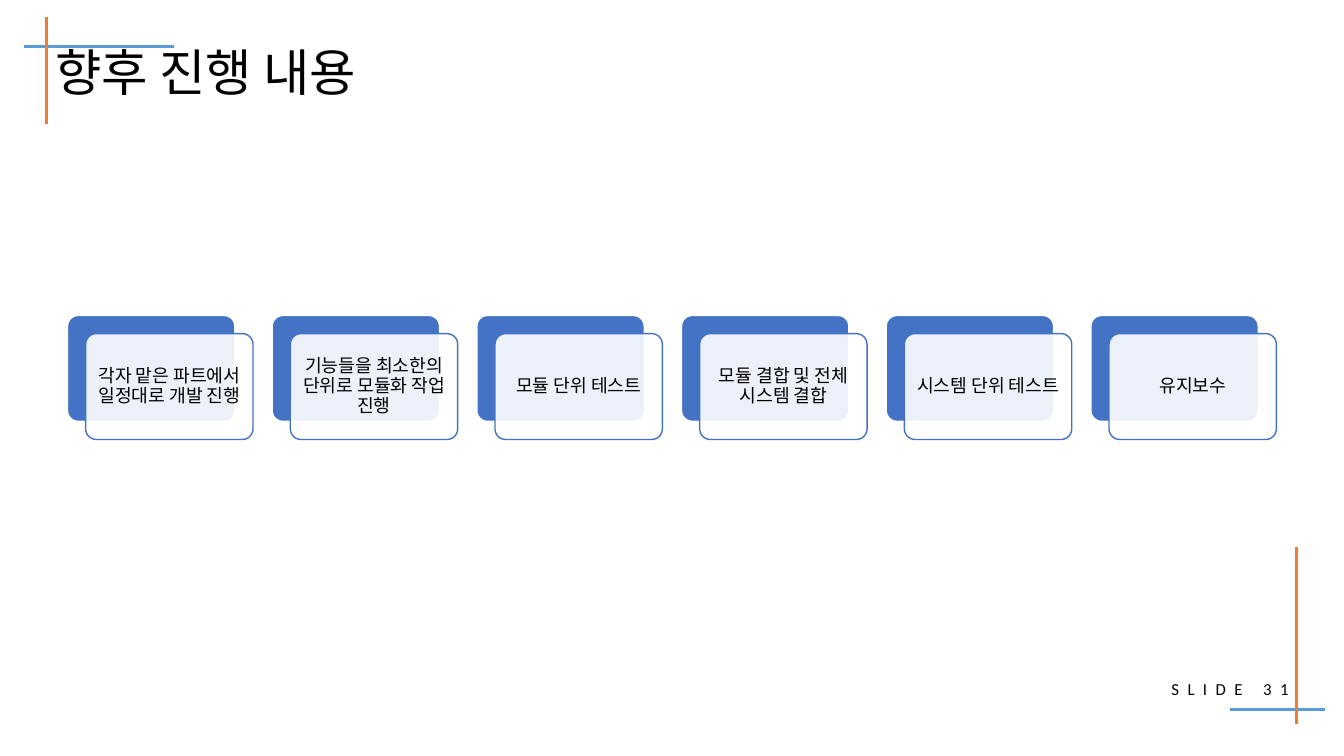
from pptx import Presentation, util as u
from pptx.dml.color import RGBColor
from pptx.enum import shapes, text
from pptx.oxml.ns import qn
from lxml import etree

COLORS = {"black": "000000", "white": "FFFFFF", "card": "4472C4",
          "blue": "5B9BD5", "orange": "ED7D31"}
LATIN, KOREAN = "Calibri", "Noto Sans CJK KR"

STEPS = ["각자 맡은 파트에서 일정대로 개발 진행",
         "기능들을 최소한의 단위로 모듈화 작업 진행",
         "모듈 단위 테스트",
         "모듈 결합 및 전체 시스템 결합",
         "시스템 단위 테스트",
         "유지보수"]
FIRST_LEFT, TOP, PITCH, OFFSET = 0.67, 3.13, 2.03, 0.18
CARD_WIDTH, CARD_HEIGHT = 1.66, 1.05


class SlideBuilder:
    def __init__(self, slide):
        self.slide = slide

    def color(self, name):
        return RGBColor.from_string(COLORS[name])

    def line(self, x1, y1, x2, y2, color):
        rule = self.slide.shapes.add_connector(
            shapes.MSO_CONNECTOR.STRAIGHT, *map(u.Inches, (x1, y1, x2, y2)))
        rule.line.color.rgb = self.color(color)
        rule.line.width = u.Pt(2)
        etree.SubElement(rule._element.spPr, qn("a:effectLst"))

    def fill_text(self, frame, words, size, align, font=LATIN, tracking=None):
        """Fill a text frame with one vertically centred paragraph."""
        frame.word_wrap = True
        frame.vertical_anchor = text.MSO_ANCHOR.MIDDLE
        paragraph = frame.paragraphs[0]
        paragraph.alignment = align
        run = paragraph.add_run()
        run.text = words
        run.font.size = u.Pt(size)
        run.font.name = font
        run.font.color.rgb = self.color("black")
        properties = run._r.get_or_add_rPr()
        etree.SubElement(properties, qn("a:ea"), typeface=KOREAN)
        if tracking:
            properties.set("spc", str(tracking * 100))
        return paragraph

    def text_box(self, left, top, width, height, *args, **kwargs):
        box = self.slide.shapes.add_textbox(
            *map(u.Inches, (left, top, width, height)))
        return self.fill_text(box.text_frame, *args, **kwargs)

    def card(self, left, top, fill, outline, opacity=100):
        card = self.slide.shapes.add_shape(
            shapes.MSO_SHAPE.ROUNDED_RECTANGLE,
            *map(u.Inches, (left, top, CARD_WIDTH, CARD_HEIGHT)))
        card.adjustments[0] = 0.1
        card.shadow.inherit = False
        card.fill.solid()
        card.fill.fore_color.rgb = self.color(fill)
        card.line.color.rgb = self.color(outline)
        card.line.width = u.Pt(1)
        if opacity < 100:
            tint = card._element.spPr.find(qn("a:solidFill"))[0]
            etree.SubElement(tint, qn("a:alpha"), val=str(opacity * 1000))
        return card

    def step(self, left, words):
        """Draw a solid card with a translucent, labelled card over it."""
        self.card(left, TOP, "card", "white")
        front = self.card(left + OFFSET, TOP + OFFSET, "white", "card", 90)
        frame = front.text_frame
        frame.margin_left = frame.margin_right = u.Inches(0.08)
        frame.margin_top = frame.margin_bottom = u.Inches(0.08)
        label = self.fill_text(frame, words, 13, text.PP_ALIGN.CENTER)
        label.line_spacing = 0.9
        label.space_after = u.Pt(4.5)


def main():
    deck = Presentation()
    deck.slide_width, deck.slide_height = u.Inches(13.33), u.Inches(7.5)
    builder = SlideBuilder(deck.slides.add_slide(deck.slide_layouts[6]))

    builder.line(1.73, 0.46, 0.24, 0.46, "blue")
    builder.line(0.46, 1.23, 0.46, 0.17, "orange")
    builder.line(12.2, 7.04, 13.14, 7.04, "blue")
    builder.line(12.86, 5.43, 12.86, 7.18, "orange")

    builder.text_box(10.8, 6.63, 2.08, 0.41, "SLIDE 31", 12,
                     text.PP_ALIGN.RIGHT, tracking=6)
    title = builder.text_box(0.45, 0.43, 12.43, 0.64, "향후 진행 내용", 36,
                             text.PP_ALIGN.LEFT, font=KOREAN)
    title.line_spacing = 0.9
    title.space_before = u.Pt(10)

    for index, words in enumerate(STEPS):
        builder.step(FIRST_LEFT + index * PITCH, words)

    deck.save("out.pptx")


if __name__ == "__main__":
    main()
